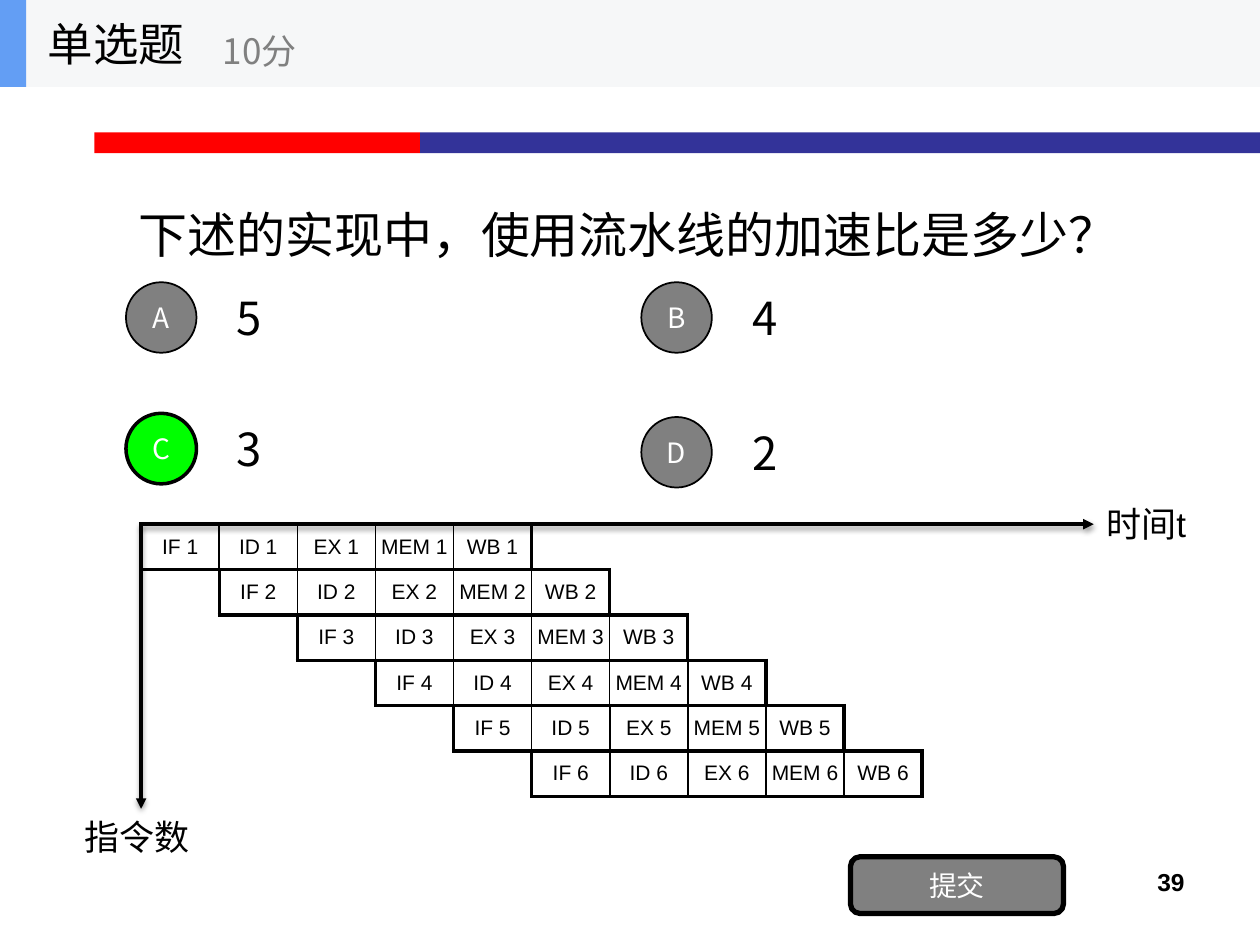
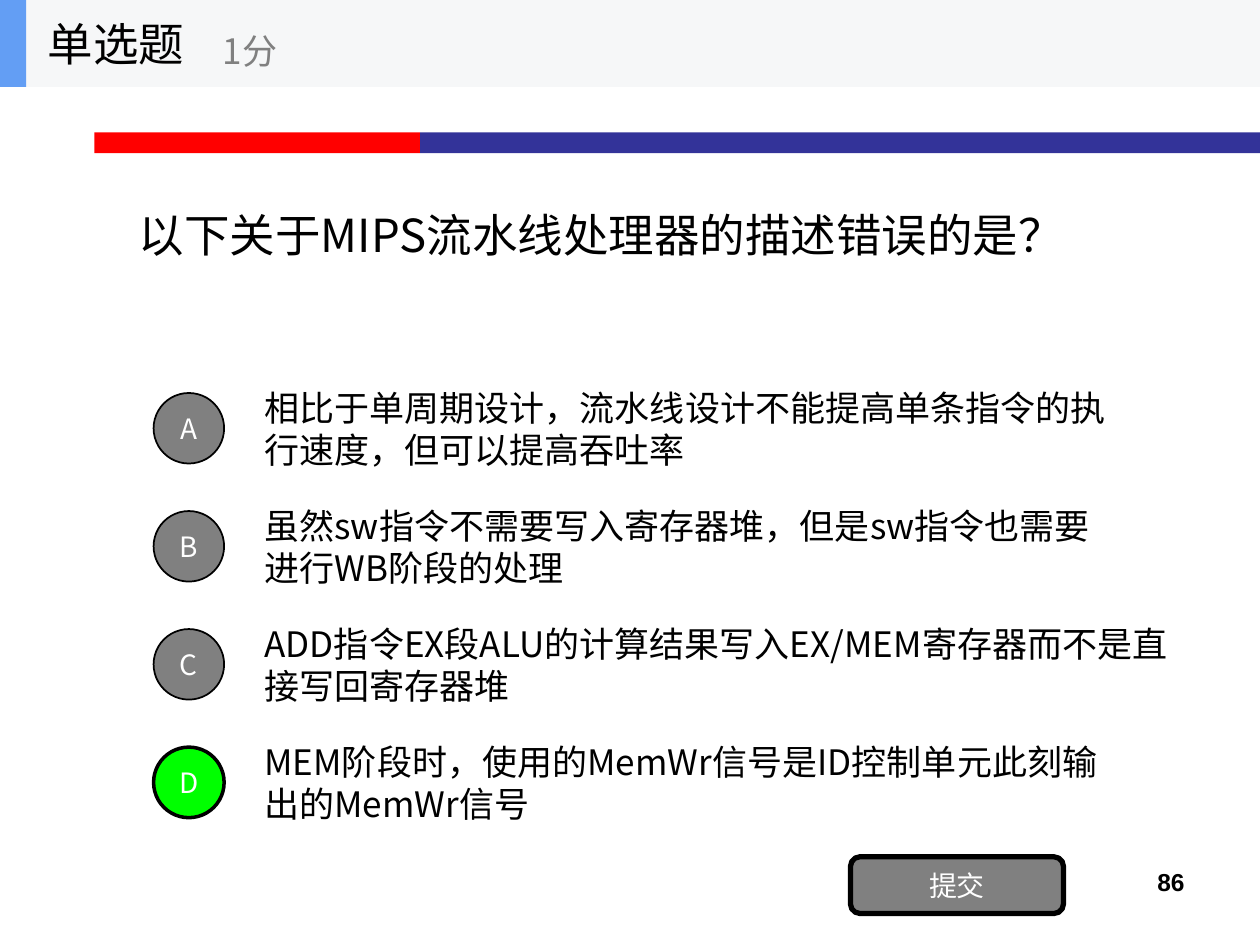
from dataclasses import dataclass

import pptx
import pptx.dml.color
import pptx.enum.shapes
import pptx.enum.text
import pptx.oxml
import pptx.oxml.ns
import pptx.util
from lxml import etree

Pt = pptx.util.Pt
Shape = pptx.enum.shapes.MSO_SHAPE
Align = pptx.enum.text.PP_ALIGN
Anchor = pptx.enum.text.MSO_ANCHOR


@dataclass(frozen=True)
class Theme:
    ink: str = "000000"
    white: str = "FFFFFF"
    grey: str = "808080"
    correct: str = "00FF00"
    header: str = "F6F7F8"
    accent: str = "639EF4"
    red: str = "FF0000"
    blue: str = "333399"
    latin: str = "Arial"
    cjk: str = "Noto Sans CJK SC"
    heading: int = 26
    label: int = 20
    badge: int = 16
    page: int = 14
    stage: int = 12


THEME = Theme()

QUESTIONS = [
    {
        "points": "10分",
        "page": "39",
        "question": "下述的实现中，使用流水线的加速比是多少？",
        "question_font": THEME.latin,
        "question_size": 28,
        "answer": "C",
        "option_size": 26,
        # letter, wording, badge left, badge top, wording width
        "options": [
            ("A", "5", 72, 161.3, 504),
            ("B", "4", 366.5, 161.3, 504),
            ("C", "3", 72, 236.2, 504),
            ("D", "2", 366.5, 238.3, 504),
        ],
    },
    {
        "points": "1分",
        "page": "86",
        "question": "以下关于MIPS流水线处理器的描述错误的是？",
        "question_font": THEME.cjk,
        "question_size": 26,
        "answer": "D",
        "option_size": 20,
        "options": [
            (letter, wording, 87.8, 224.6 + 67.45 * row, width)
            for row, (letter, wording, width) in enumerate([
                ("A", "相比于单周期设计，流水线设计不能提高单条指令的执行速度，但可以提高吞吐率", 504),
                ("B", "虽然sw指令不需要写入寄存器堆，但是sw指令也需要进行WB阶段的处理", 504),
                ("C", "ADD指令EX段ALU的计算结果写入EX/MEM寄存器而不是直接写回寄存器堆", 531),
                ("D", "MEM阶段时，使用的MemWr信号是ID控制单元此刻输出的MemWr信号", 504),
            ])
        ],
    },
]

STAGES = ["IF", "ID", "EX", "MEM", "WB"]
INSTRUCTIONS = 6
ORIGIN_X, ORIGIN_Y = 80.64, 299.52
STAGE_W, STAGE_H = 44.64, 25.92
TIME_END, COUNT_END = 625, 462.2
BADGE = 40.3


def rgb(colour):
    return pptx.dml.color.RGBColor.from_string(colour)


def write(frame, wording, size, colour=THEME.ink, font=THEME.cjk,
          align=Align.LEFT, bold=False):
    frame.text = wording
    paragraph = frame.paragraphs[0]
    paragraph.alignment = align
    for run in paragraph.runs:
        run.font.size = Pt(size)
        run.font.bold = bold
        run.font.color.rgb = rgb(colour)
        run.font.name = font
        east_asian = etree.SubElement(run._r.get_or_add_rPr(), pptx.oxml.ns.qn("a:ea"))
        east_asian.set("typeface", THEME.cjk)


def add_text(slide, box, wording, size, anchor=Anchor.MIDDLE, **style):
    frame = slide.shapes.add_textbox(*map(Pt, box)).text_frame
    frame.word_wrap = True
    frame.vertical_anchor = anchor
    write(frame, wording, size, **style)


def add_block(slide, kind, box, fill, line_width=0, wording=""):
    block = slide.shapes.add_shape(kind, *map(Pt, box))
    block.shadow.inherit = False
    block.fill.solid()
    block.fill.fore_color.rgb = rgb(fill)
    if line_width:
        block.line.color.rgb = rgb(THEME.ink)
        block.line.width = Pt(line_width)
    else:
        block.line.fill.background()
    if wording:
        frame = block.text_frame
        frame.margin_left = frame.margin_right = 0
        frame.margin_top = frame.margin_bottom = 0
        frame.vertical_anchor = Anchor.MIDDLE
        write(frame, wording, THEME.badge, THEME.white, align=Align.CENTER)


def add_frame(slide, item):
    """Header band, colour bars, question, submit button and page number."""
    title = slide.shapes.title
    title.left, title.top, title.width, title.height = map(Pt, (72, 49.7, 576, 168.5))
    title.text_frame.auto_size = pptx.enum.text.MSO_AUTO_SIZE.NONE
    title.text_frame.vertical_anchor = Anchor.MIDDLE
    write(title.text_frame, item["question"], item["question_size"],
          font=item["question_font"])

    for box, fill in [
        ((54, 75.6, 186, 12), THEME.red),
        ((240, 75.6, 480, 12), THEME.blue),
        ((0, 0, 720, 49.7), THEME.header),
        ((0, 0, 15, 49.7), THEME.accent),
    ]:
        add_block(slide, Shape.RECTANGLE, box, fill)
    add_text(slide, (20.2, 0, 149.8, 49.7), "单选题", THEME.heading)
    add_text(slide, (120.2, 8.6, 180, 40.3), item["points"], THEME.label, colour=THEME.grey)
    add_block(slide, Shape.ROUNDED_RECTANGLE, (486, 489.6, 121.7, 32.4), THEME.grey, 3, "提交")
    add_text(slide, (516.2, 491.8, 167.8, 37.4), item["page"], THEME.page,
             anchor=Anchor.TOP, font=THEME.latin, align=Align.RIGHT, bold=True)


def add_options(slide, item):
    for letter, wording, left, top, width in item["options"]:
        add_text(slide, (left + 56.2, top - 5, width, 50.4), wording, item["option_size"])
        fill, line_width = (THEME.correct, 2) if letter == item["answer"] else (THEME.grey, 1)
        add_block(slide, Shape.OVAL, (left, top, BADGE, BADGE), fill, line_width, letter)


def add_axis(slide, end_x, end_y):
    axis = slide.shapes.add_connector(
        pptx.enum.shapes.MSO_CONNECTOR.STRAIGHT,
        *map(Pt, (ORIGIN_X, ORIGIN_Y, end_x, end_y)))
    axis.line.color.rgb = rgb(THEME.ink)
    axis.line.width = Pt(2)
    etree.SubElement(axis.get_or_add_ln(), pptx.oxml.ns.qn("a:tailEnd")).set("type", "triangle")
    axis.element.spPr.append(pptx.oxml.parse_xml(
        f'<a:effectLst {pptx.oxml.ns.nsdecls("a")}>'
        f'<a:outerShdw blurRad="{Pt(3.1)}" dist="{Pt(1.6)}" dir="5400000" rotWithShape="0">'
        f'<a:srgbClr val="{THEME.ink}"><a:alpha val="38000"/></a:srgbClr>'
        '</a:outerShdw></a:effectLst>'))


def set_borders(cell, **widths):
    properties = cell._tc.get_or_add_tcPr()
    for position, (side, width) in enumerate(widths.items()):
        properties.insert(position, pptx.oxml.parse_xml(
            f'<a:{side} {pptx.oxml.ns.nsdecls("a")} w="{Pt(width)}">'
            f'<a:solidFill><a:srgbClr val="{THEME.ink}"/></a:solidFill></a:{side}>'))


def add_instruction(slide, index):
    """One instruction's stages, started one stage after the previous instruction."""
    table = slide.shapes.add_table(1, len(STAGES), *map(Pt, (
        ORIGIN_X + index * STAGE_W, ORIGIN_Y + index * STAGE_H,
        len(STAGES) * STAGE_W, STAGE_H))).table
    table.first_row = table.horz_banding = False
    for column, stage in enumerate(STAGES):
        table.columns[column].width = Pt(STAGE_W)
        cell = table.cell(0, column)
        cell.margin_left = cell.margin_right = Pt(2.9)
        cell.margin_top = cell.margin_bottom = Pt(3.6)
        cell.vertical_anchor = Anchor.MIDDLE
        cell.fill.background()
        write(cell.text_frame, f"{stage} {index + 1}", THEME.stage,
              font=THEME.latin, align=Align.CENTER)
        set_borders(cell,
                    lnL=2.25 if column == 0 else 1,
                    lnR=2.25 if column == len(STAGES) - 1 else 1,
                    lnT=2.25, lnB=2.25)


def add_pipeline(slide):
    add_axis(slide, TIME_END, ORIGIN_Y)
    add_axis(slide, ORIGIN_X, COUNT_END)
    for box, wording in [
        ((TIME_END, 283.7, 79.2, 31), "时间t"),
        ((41, COUNT_END, 84.2, 31.7), "指令数"),
    ]:
        add_text(slide, box, wording, THEME.label, anchor=Anchor.TOP, font=THEME.latin)
    for index in range(INSTRUCTIONS):
        add_instruction(slide, index)


def main():
    deck = pptx.Presentation()
    deck.slide_width, deck.slide_height = Pt(720), Pt(540)
    title_only = deck.slide_layouts[5]
    speedup, mips = QUESTIONS
    for item in (speedup, mips):
        slide = deck.slides.add_slide(title_only)
        add_frame(slide, item)
        add_options(slide, item)
        if item is speedup:
            add_pipeline(slide)
    deck.save("out.pptx")


if __name__ == "__main__":
    main()
